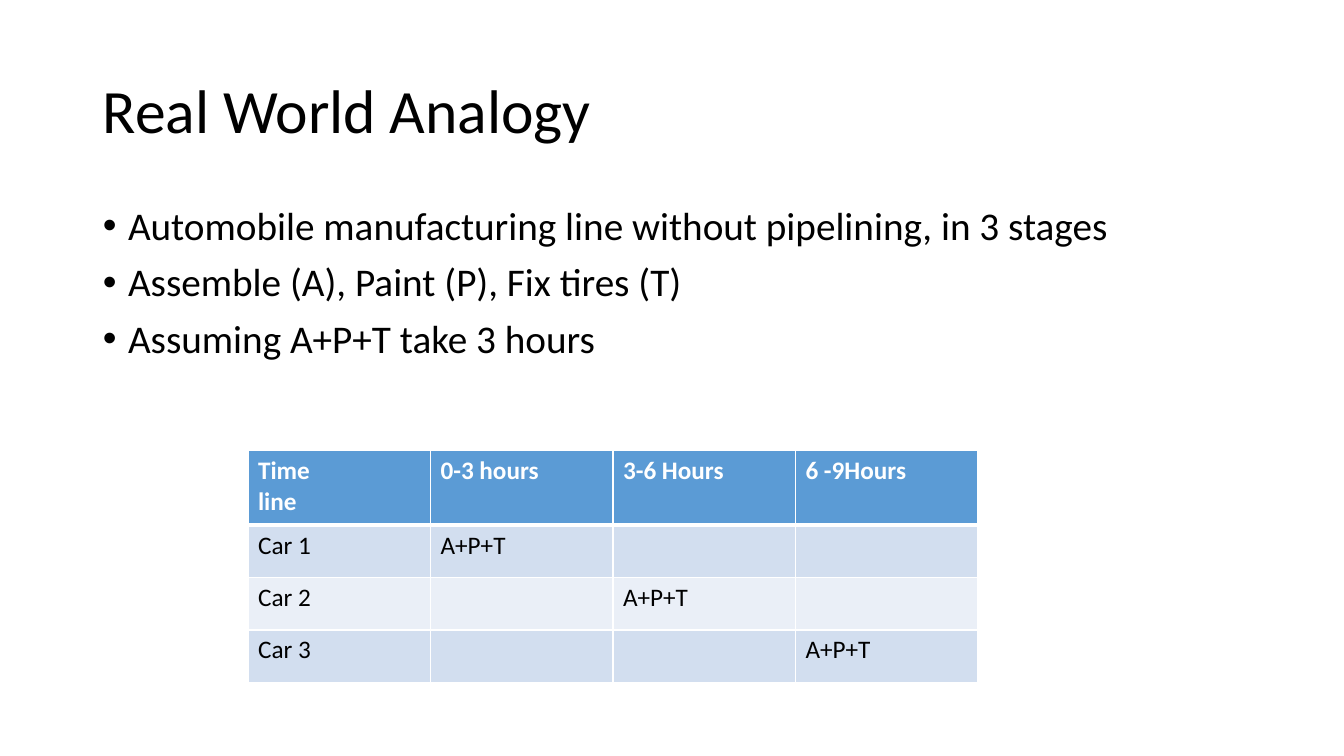
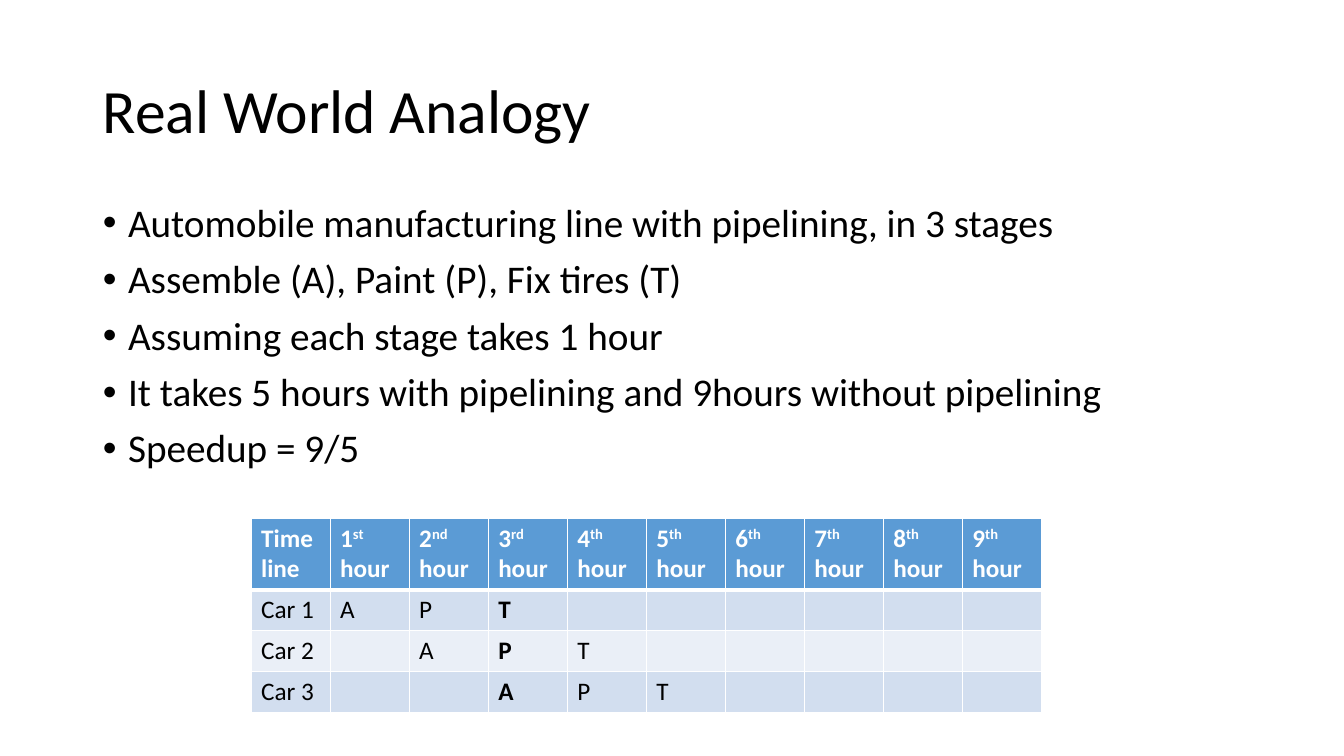
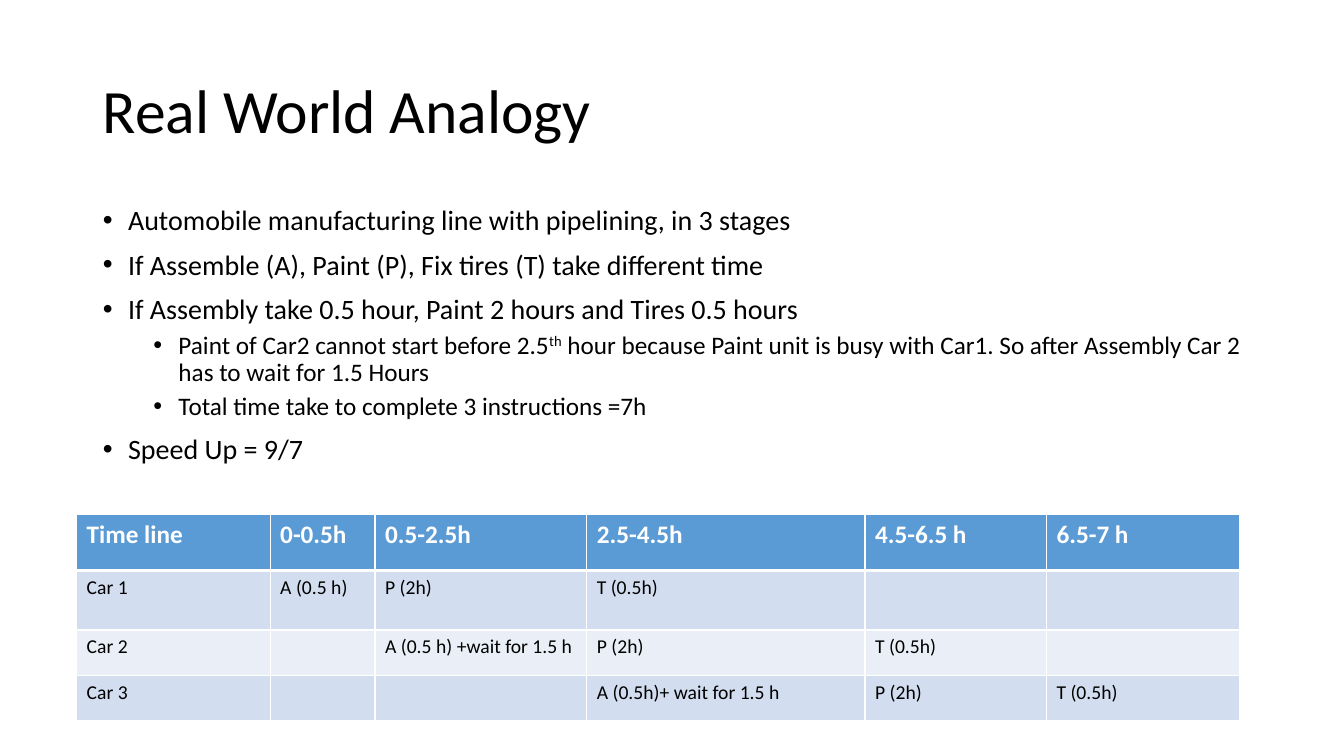
from pptx import Presentation
from pptx.dml.color import RGBColor
from pptx.enum.text import MSO_ANCHOR, MSO_AUTO_SIZE, PP_ALIGN
from pptx.oxml import parse_xml
from pptx.oxml.ns import nsdecls
from pptx.util import Inches, Pt

# Content: ^ encloses superscripts, a bullet is (level, text)
TITLE = "Real World Analogy"
ORDINALS = ["st", "nd", "rd"] + ["th"] * 6
SLIDES = [
    {
        "bullets": [
            (0, "Automobile manufacturing line without pipelining, in 3 stages"),
            (0, "Assemble (A), Paint (P), Fix tires (T)"),
            (0, "Assuming A+P+T take 3 hours"),
        ],
        "body_top": 2, "bullet_sizes": (28, 24),
        "header": ["Time\nline", "0-3 hours", "3-6 Hours", "6 -9Hours"],
        "car_stages": [["A+P+T"]] * 3,
        "table_at": (2.46, 4.47), "cell_size": 18, "bold_column": None,
        "columns": [1.81] * 4, "rows": [0.74] + [0.52] * 3,
    },
    {
        "bullets": [
            (0, "Automobile manufacturing line with pipelining, in 3 stages"),
            (0, "Assemble (A), Paint (P), Fix tires (T)"),
            (0, "Assuming each stage takes 1 hour"),
            (0, "It takes 5 hours with pipelining and 9hours without pipelining"),
            (0, "Speedup = 9/5"),
        ],
        "body_top": 1.97, "bullet_sizes": (28, 24),
        "header": ["Time line"] + [f"{hour}^{ending}^ hour"
                                   for hour, ending in enumerate(ORDINALS, 1)],
        "car_stages": [["A", "P", "T"]] * 3,
        "table_at": (2.49, 5.14), "cell_size": 18, "bold_column": 3,
        "columns": [7.84 / 10] * 10, "rows": [0.7] + [0.4] * 3,
    },
    {
        "bullets": [
            (0, "Automobile manufacturing line with pipelining, in 3 stages"),
            (0, "If Assemble (A), Paint (P), Fix tires (T) take different time"),
            (0, "If Assembly take 0.5 hour, Paint 2 hours and Tires 0.5 hours"),
            (1, "Paint of Car2 cannot start before 2.5^th^ hour because Paint unit "
                "is busy with Car1. So after Assembly Car 2 has to wait for 1.5 Hours"),
            (1, "Total time take to complete 3 instructions =7h"),
            (0, "Speed Up = 9/7"),
        ],
        "body_top": 2, "bullet_sizes": (20, 18),
        "header": ["Time line", "0-0.5h", "0.5-2.5h", "2.5-4.5h", "4.5-6.5 h", "6.5-7 h"],
        "car_stages": [[first, "P (2h)", "T (0.5h)"] for first in (
            "A (0.5 h)", "A (0.5 h) +wait for 1.5 h", "A (0.5h)+ wait for 1.5 h")],
        "table_at": (0.76, 5.1), "cell_size": 14, "bold_column": None,
        "columns": [1.92, 1.04, 2.1, 2.76, 1.8, 1.92], "rows": [0.56, 0.59, 0.45, 0.45],
    },
]

# Shared style
BLACK = RGBColor(0x00, 0x00, 0x00)
WHITE = RGBColor(0xFF, 0xFF, 0xFF)
HEADER_BLUE = RGBColor(0x5B, 0x9B, 0xD5)
BANDS = [RGBColor(0xEA, 0xEF, 0xF7), RGBColor(0xD2, 0xDE, 0xEF)]
FONT = "Calibri"
LEFT, WIDTH = 0.92, 11.5
SPACE_BEFORE = (10, 5)


def apply(target, values):
    for name, value in values.items():
        setattr(target, name, value)


def write(paragraph, text, size, color=BLACK, bold=False):
    for index, part in enumerate(text.split("^")):
        if not part:
            continue
        run = paragraph.add_run()
        run.text = part
        apply(run.font, {"name": FONT, "size": Pt(size), "bold": bold})
        run.font.color.rgb = color
        if index % 2:
            run.font._element.set("baseline", "30000")


def place(shape, top, height, anchor):
    apply(shape, {"left": Inches(LEFT), "top": Inches(top),
                  "width": Inches(WIDTH), "height": Inches(height)})
    apply(shape.text_frame, {"word_wrap": True, "auto_size": MSO_AUTO_SIZE.NONE,
                             "vertical_anchor": anchor})


def add_bullets(body, bullets, sizes):
    frame = body.text_frame
    for index, (level, text) in enumerate(bullets):
        paragraph = frame.add_paragraph() if index else frame.paragraphs[0]
        apply(paragraph, {"level": level, "line_spacing": 0.9,
                          "space_before": Pt(SPACE_BEFORE[level])})
        properties = paragraph._p.get_or_add_pPr()
        properties.set("marL", str(Inches(0.25 + 0.5 * level)))
        properties.set("indent", str(Inches(-0.25)))
        for tag in ('buFont typeface="Arial"', 'buChar char="&#8226;"'):
            properties.append(parse_xml(f'<a:{tag} {nsdecls("a")}/>'))
        write(paragraph, text, sizes[level])


def set_borders(cell, top, bottom):
    properties = cell._tc.get_or_add_tcPr()
    sides = {"L": 1, "R": 1, "T": top, "B": bottom}
    for index, (side, width) in enumerate(sides.items()):
        properties.insert(index, parse_xml(
            f'<a:ln{side} {nsdecls("a")} w="{Pt(width)}"><a:solidFill>'
            f'<a:srgbClr val="{WHITE}"/></a:solidFill></a:ln{side}>'))


def add_timeline(slide, content):
    header, columns, rows = content["header"], content["columns"], content["rows"]
    left, top = content["table_at"]
    table = slide.shapes.add_table(
        len(rows), len(columns), Inches(left), Inches(top),
        Inches(sum(columns)), Inches(sum(rows))).table
    for column, width in zip(table.columns, columns):
        column.width = Inches(width)
    for row, height in zip(table.rows, rows):
        row.height = Inches(height)

    # Each car enters the line one column after the car before
    grid = [header]
    for car, stages in enumerate(content["car_stages"]):
        cells = [f"Car {car + 1}"] + [""] * car + stages
        grid.append(cells + [""] * (len(header) - len(cells)))

    for row, texts in enumerate(grid):
        is_header = row == 0
        for column, text in enumerate(texts):
            cell = table.cell(row, column)
            cell.fill.solid()
            cell.fill.fore_color.rgb = HEADER_BLUE if is_header else BANDS[row % 2]
            set_borders(cell, 3 if row == 1 else 1, 3 if is_header else 1)
            frame = cell.text_frame
            for index, line in enumerate(text.split("\n")):
                paragraph = frame.add_paragraph() if index else frame.paragraphs[0]
                write(paragraph, line, 18 if is_header else content["cell_size"],
                      WHITE if is_header else BLACK,
                      is_header or column == content["bold_column"])


# Build the slides
presentation = Presentation()
apply(presentation, {"slide_width": Inches(13.33), "slide_height": Inches(7.5)})
for content in SLIDES:
    slide = presentation.slides.add_slide(presentation.slide_layouts[1])
    title, body = slide.placeholders
    place(title, 0.4, 1.45, MSO_ANCHOR.MIDDLE)
    heading = title.text_frame.paragraphs[0]
    apply(heading, {"alignment": PP_ALIGN.LEFT, "line_spacing": 0.9})
    write(heading, TITLE, 44)
    place(body, content["body_top"], 4.76, MSO_ANCHOR.TOP)
    add_bullets(body, content["bullets"], content["bullet_sizes"])
    add_timeline(slide, content)
presentation.save("out.pptx")
